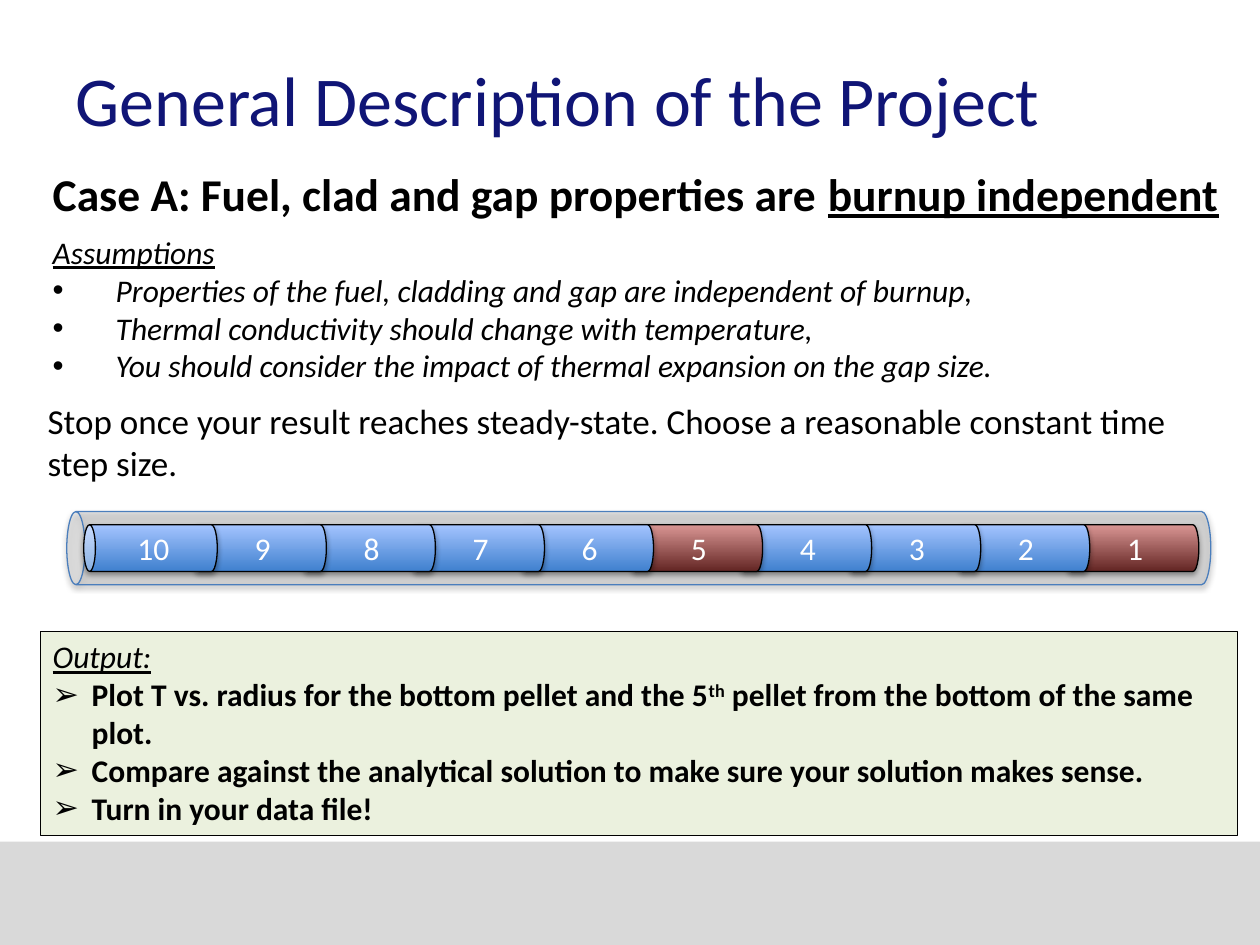
from dataclasses import dataclass

import pptx
import pptx.util
from pptx.dml.color import RGBColor
from pptx.enum.shapes import MSO_SHAPE
from pptx.enum.text import MSO_ANCHOR, MSO_AUTO_SIZE, PP_ALIGN
from pptx.oxml import parse_xml
from pptx.oxml.ns import nsdecls
from pptx.util import Inches


@dataclass(frozen=True)
class Theme:
    font: str = "Calibri"
    title_size: int = 40
    heading_size: int = 26
    body_size: int = 20
    list_size: int = 18
    navy: str = "101576"
    black: str = "000000"
    white: str = "FFFFFF"
    footer: str = "D9D9D9"
    panel: str = "EBF1DE"
    tube: str = "BFBFBF"
    tube_line: str = "4B7EBC"
    blue: tuple = ("3F80CE", "A4C4FF")
    red: tuple = ("632523", "D99694")


THEME = Theme()
PELLETS = 10
HIGHLIGHTED = (1, 5)
FIRST_LEFT, LAST_LEFT = 8.8, 1.01
PITCH = (FIRST_LEFT - LAST_LEFT) / (PELLETS - 1)


def colour(value):
    return RGBColor.from_string(value)


def style(font, size, color=THEME.black, **flags):
    font.name = THEME.font
    font.size = pptx.util.Pt(size)
    font.color.rgb = colour(color)
    for name, value in flags.items():
        setattr(font, name, value)


def add_span(para, text):
    span = para.add_run()
    span.text = text
    return span


def add_text_box(page, left, top, width, height):
    box = page.shapes.add_textbox(*map(Inches, (left, top, width, height)))
    box.text_frame.word_wrap = True
    return box


def add_bullet(para, mark, indent):
    properties = para._p.get_or_add_pPr()
    properties.set("marL", str(Inches(indent)))
    properties.set("indent", str(-Inches(indent)))
    properties.append(parse_xml(f'<a:buFont {nsdecls("a")} typeface="Arial"/>'))
    properties.append(parse_xml(f'<a:buChar {nsdecls("a")} char="{mark}"/>'))


def fill_list(frame, heading, items, mark, indent, **flags):
    """Write an underlined heading and bullets; a tuple item has its second part raised."""
    para = frame.paragraphs[0]
    para.alignment = PP_ALIGN.LEFT
    add_span(para, heading)
    style(para.font, THEME.list_size, italic=True, underline=True)
    for item in items:
        para = frame.add_paragraph()
        para.alignment = PP_ALIGN.LEFT
        add_bullet(para, mark, indent)
        style(para.font, THEME.list_size, **flags)
        parts = (item,) if isinstance(item, str) else item
        for index, part in enumerate(parts):
            span = add_span(para, part)
            if index == 1:
                span._r.get_or_add_rPr().set("baseline", "30000")


def add_shape(shapes, kind, left, top, width, height, line=None):
    shape = shapes.add_shape(kind, *map(Inches, (left, top, width, height)))
    shape.shadow.inherit = False
    if line:
        shape.line.color.rgb = colour(line)
        shape.line.width = pptx.util.Pt(0.75)
    else:
        shape.line.fill.background()
    return shape


def add_panel(page, left, top, width, height, fill, line=None):
    panel = add_shape(page.shapes, MSO_SHAPE.RECTANGLE, left, top, width, height, line)
    panel.fill.solid()
    panel.fill.fore_color.rgb = colour(fill)
    return panel


def add_cylinder(shapes, left, top, width, height, line):
    """Add a can lying on its side, with a soft shadow below."""
    can = add_shape(shapes, MSO_SHAPE.CAN, left, top, width, height, line)
    can.rotation = 270
    effects = can._element.spPr.find(pptx.oxml.ns.qn("a:effectLst"))
    effects.append(parse_xml(
        f'<a:outerShdw {nsdecls("a")} blurRad="{pptx.util.Pt(3.1)}" '
        f'dist="{pptx.util.Pt(1.8)}" dir="5400000" rotWithShape="0">'
        f'<a:srgbClr val="{THEME.black}"><a:alpha val="35000"/></a:srgbClr>'
        '</a:outerShdw>'))
    return can


def add_tube(page):
    tube = add_cylinder(page.shapes, 4.78, -0.19, 0.58, 9.08, THEME.tube_line)
    tube.fill.solid()
    tube.fill.fore_color.rgb = colour(THEME.tube)
    solid = tube._element.spPr.find(pptx.oxml.ns.qn("a:solidFill"))
    solid[0].append(parse_xml(f'<a:alpha {nsdecls("a")} val="42000"/>'))


def add_pellet(shapes, number):
    left = FIRST_LEFT - (number - 1) * PITCH
    pellet = add_cylinder(shapes, left, 3.82, 0.37, 1.06, THEME.black)
    highlighted = number in HIGHLIGHTED
    pellet.fill.gradient()
    # The red gradient turns with its can; the blue one keeps to the page.
    pellet.fill.gradient_angle = 0 if highlighted else 90
    gradient = pellet._element.spPr.find(pptx.oxml.ns.qn("a:gradFill"))
    gradient.set("rotWithShape", "1" if highlighted else "0")
    shades = THEME.red if highlighted else THEME.blue
    for stop, shade in zip(pellet.fill.gradient_stops, shades):
        stop.color.rgb = colour(shade)
    frame = pellet.text_frame
    frame.vertical_anchor = MSO_ANCHOR.MIDDLE
    frame._txBody.bodyPr.set("vert", "vert")
    para = frame.paragraphs[0]
    para.alignment = PP_ALIGN.CENTER
    add_span(para, str(number))
    style(para.font, THEME.list_size, THEME.white)


def add_title(page, text):
    title = page.shapes.title
    title.left, title.top, title.width, title.height = map(Inches, (0.5, 0.22, 9, 1.12))
    frame = title.text_frame
    frame.auto_size = MSO_AUTO_SIZE.NONE
    frame.vertical_anchor = MSO_ANCHOR.MIDDLE
    para = frame.paragraphs[0]
    para.alignment = PP_ALIGN.LEFT
    add_span(para, text)
    style(para.font, THEME.title_size, THEME.navy)


def main():
    deck = pptx.Presentation()
    deck.slide_width, deck.slide_height = Inches(10), Inches(7.5)
    page = deck.slides.add_slide(deck.slide_layouts[5])
    add_panel(page, 0, 6.68, 10, 0.82, THEME.footer)
    add_title(page, "General Description of the Project")

    para = add_text_box(page, 0.32, 1.27, 9.68, 0.52).text_frame.paragraphs[0]
    style(para.font, THEME.heading_size, bold=True)
    add_span(para, "Case A: Fuel, clad and gap properties are ")
    add_span(para, "burnup independent").font.underline = True

    para = add_text_box(page, 0.28, 3.12, 9.59, 0.73).text_frame.paragraphs[0]
    style(para.font, THEME.body_size)
    add_span(para, "Stop once your result reaches steady-state. "
                   "Choose a reasonable constant time step size.")

    output = add_panel(page, 0.32, 5.01, 9.5, 1.62, THEME.panel, THEME.black)
    output.text_frame.vertical_anchor = MSO_ANCHOR.TOP
    fill_list(output.text_frame, "Output:", [
        ("Plot T vs. radius for the bottom pellet and the 5", "th",
         " pellet from the bottom of the same plot."),
        "Compare against the analytical solution to make sure your solution makes sense.",
        "Turn in your data file!",
    ], "➢", 0.31, bold=True)

    assumptions = add_text_box(page, 0.32, 1.8, 9.68, 1.31)
    fill_list(assumptions.text_frame, "Assumptions", [
        "Properties of the fuel, cladding and gap are independent of burnup,",
        "Thermal conductivity should change with temperature,",
        "You should consider the impact of thermal expansion on the gap size.",
    ], "•", 0.5, italic=True)

    add_tube(page)
    stack = page.shapes.add_group_shape()
    for number in range(1, PELLETS + 1):
        add_pellet(stack.shapes, number)
    deck.save("out.pptx")


if __name__ == "__main__":
    main()
